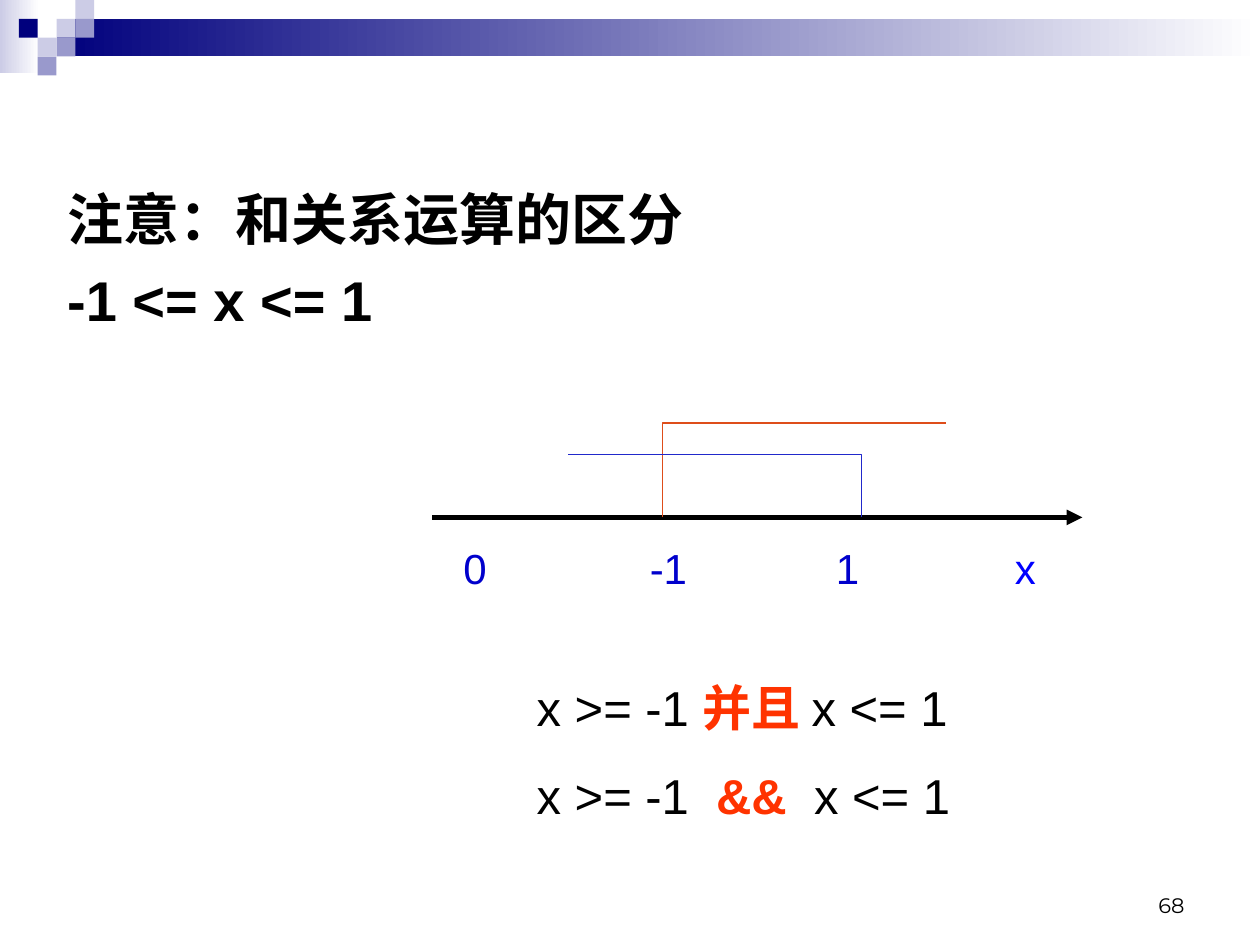
from lxml import etree
from pptx import Presentation
from pptx import util as u
from pptx.dml.color import RGBColor
from pptx.enum import shapes, text
from pptx.oxml import ns

BLACK = RGBColor(0x00, 0x00, 0x00)
WHITE = RGBColor(0xFF, 0xFF, 0xFF)
NAVY = RGBColor(0x00, 0x00, 0x7D)
LILAC = RGBColor(0xCC, 0xCC, 0xE6)
VIOLET = RGBColor(0x99, 0x99, 0xCC)
LABEL_BLUE = RGBColor(0x00, 0x00, 0xCC)
AXIS_BLUE = RGBColor(0x00, 0x00, 0xFF)
RANGE_RED = RGBColor(0xDE, 0x4D, 0x1A)
RANGE_BLUE = RGBColor(0x21, 0x29, 0xCB)
ACCENT = RGBColor(0xFF, 0x33, 0x00)

CELL = 0.38
AXIS_Y = 10.43


def add_element(parent, tag, **attributes):
    return etree.SubElement(parent, ns.qn(tag), attributes)


def apply(target, values):
    for name, value in values.items():
        setattr(target, name, value)


class SlideBuilder:
    latin = "Arial"
    east_asian = "Noto Sans CJK SC"

    def __init__(self, slide):
        self.slide = slide

    def block(self, left, top, width, height, color, fade_to=None):
        shape = self.slide.shapes.add_shape(
            shapes.MSO_SHAPE.RECTANGLE, u.Cm(left), u.Cm(top), u.Cm(width), u.Cm(height))
        shape.shadow.inherit = False
        shape.line.fill.background()
        if fade_to is None:
            shape.fill.solid()
            shape.fill.fore_color.rgb = color
        else:
            shape.fill.gradient()
            shape.fill.gradient_angle = 0
            for stop, stop_color in zip(shape.fill.gradient_stops, (color, fade_to)):
                stop.color.rgb = stop_color

    def arrow(self, left, right, y, color, width):
        connector = self.slide.shapes.add_connector(
            shapes.MSO_CONNECTOR.STRAIGHT, u.Cm(left), u.Cm(y), u.Cm(right), u.Cm(y))
        connector.line.color.rgb = color
        connector.line.width = u.Pt(width)
        add_element(connector.line._get_or_add_ln(), "a:tailEnd", type="triangle")
        add_element(connector._element.spPr, "a:effectLst")

    def outline(self, points, color, width):
        start, *others = [(u.Cm(x), u.Cm(y)) for x, y in points]
        builder = self.slide.shapes.build_freeform(*start)
        builder.add_line_segments(others, close=False)
        shape = builder.convert_to_shape()
        shape.shadow.inherit = False
        shape.fill.background()
        shape.line.color.rgb = color
        shape.line.width = u.Pt(width)

    def text(self, box, lines, size, holder=None, font=None, frame_format=None,
             paragraph_format=None, gap=0, indent=0):
        left, top, width, height = (u.Cm(value) for value in box)
        shape = holder or self.slide.shapes.add_textbox(left, top, width, height)
        apply(shape, {"left": left, "top": top, "width": width, "height": height})
        frame = shape.text_frame
        apply(frame, {"word_wrap": True, "auto_size": text.MSO_AUTO_SIZE.NONE,
                      "vertical_anchor": text.MSO_ANCHOR.TOP, **(frame_format or {})})
        for index, runs in enumerate(lines):
            paragraph = frame.add_paragraph() if index else frame.paragraphs[0]
            apply(paragraph, {"space_before": u.Pt(gap if index else 0),
                              **(paragraph_format or {})})
            properties = paragraph._p.get_or_add_pPr()
            properties.set("marL", str(u.Cm(indent)))
            properties.set("indent", "0")
            add_element(properties, "a:buNone")
            for content, color, bold in runs:
                run = paragraph.add_run()
                run.text = content
                apply(run.font, {"name": font or self.latin, "size": u.Pt(size), "bold": bold})
                run.font.color.rgb = color
                add_element(run._r.get_or_add_rPr(), "a:ea", typeface=self.east_asian)


def main():
    presentation = Presentation()
    presentation.slide_width = u.Cm(25.4)
    presentation.slide_height = u.Cm(19.05)
    slide = presentation.slides.add_slide(presentation.slide_layouts[1])
    title = slide.shapes.title
    title._element.getparent().remove(title._element)
    builder = SlideBuilder(slide)

    builder.block(0, 0, 0.79, 1.47, LILAC, WHITE)
    builder.block(3 * CELL, CELL, 25.4 - 3 * CELL, 2 * CELL, NAVY, WHITE)
    for column, row, color in ((3, 1, LILAC), (4, 0, LILAC), (4, 1, VIOLET), (2, 2, LILAC),
                               (1, 1, NAVY), (3, 2, VIOLET), (2, 3, VIOLET)):
        builder.block(column * CELL, row * CELL, CELL, CELL, color)

    builder.text((1.1, 3.59, 23.5, 8),
                 [[("注意：和关系运算的区分", BLACK, True)], [("-1 <= x <= 1", BLACK, True)]],
                 32, holder=slide.placeholders[1], gap=8)

    builder.arrow(8.71, 21.82, AXIS_Y, BLACK, 3)
    for corner_x, end_x, y, color in ((13.36, 19.08, 8.53, RANGE_RED),
                                      (17.37, 11.46, 9.17, RANGE_BLUE)):
        builder.outline([(corner_x, AXIS_Y), (corner_x, y), (end_x, y)], color, 0.75)

    for left, label, color in ((9.09, "0", LABEL_BLUE), (12.85, "-1", LABEL_BLUE),
                               (16.6, "1", LABEL_BLUE), (20.21, "x", AXIS_BLUE)):
        builder.text((left, 10.82, 1.6, 1.5), [[(label, color, False)]], 24)

    builder.text((9.3, 12.93, 11.43, 3.81),
                 [[("x >= -1 ", BLACK, False), ("并且 ", ACCENT, True), ("x <= 1", BLACK, False)],
                  [("x >= -1 ", BLACK, False), (" &&", ACCENT, True), ("  x <= 1", BLACK, False)]],
                 28, indent=1.27, paragraph_format={"line_spacing": 1.5},
                 frame_format={"vertical_anchor": text.MSO_ANCHOR.MIDDLE})

    builder.text((18.21, 17.35, 5.92, 1.27), [[("68", BLACK, False)]], 12, font="Montserrat",
                 paragraph_format={"alignment": text.PP_ALIGN.RIGHT},
                 frame_format={"vertical_anchor": text.MSO_ANCHOR.BOTTOM})

    presentation.save("out.pptx")


if __name__ == "__main__":
    main()
